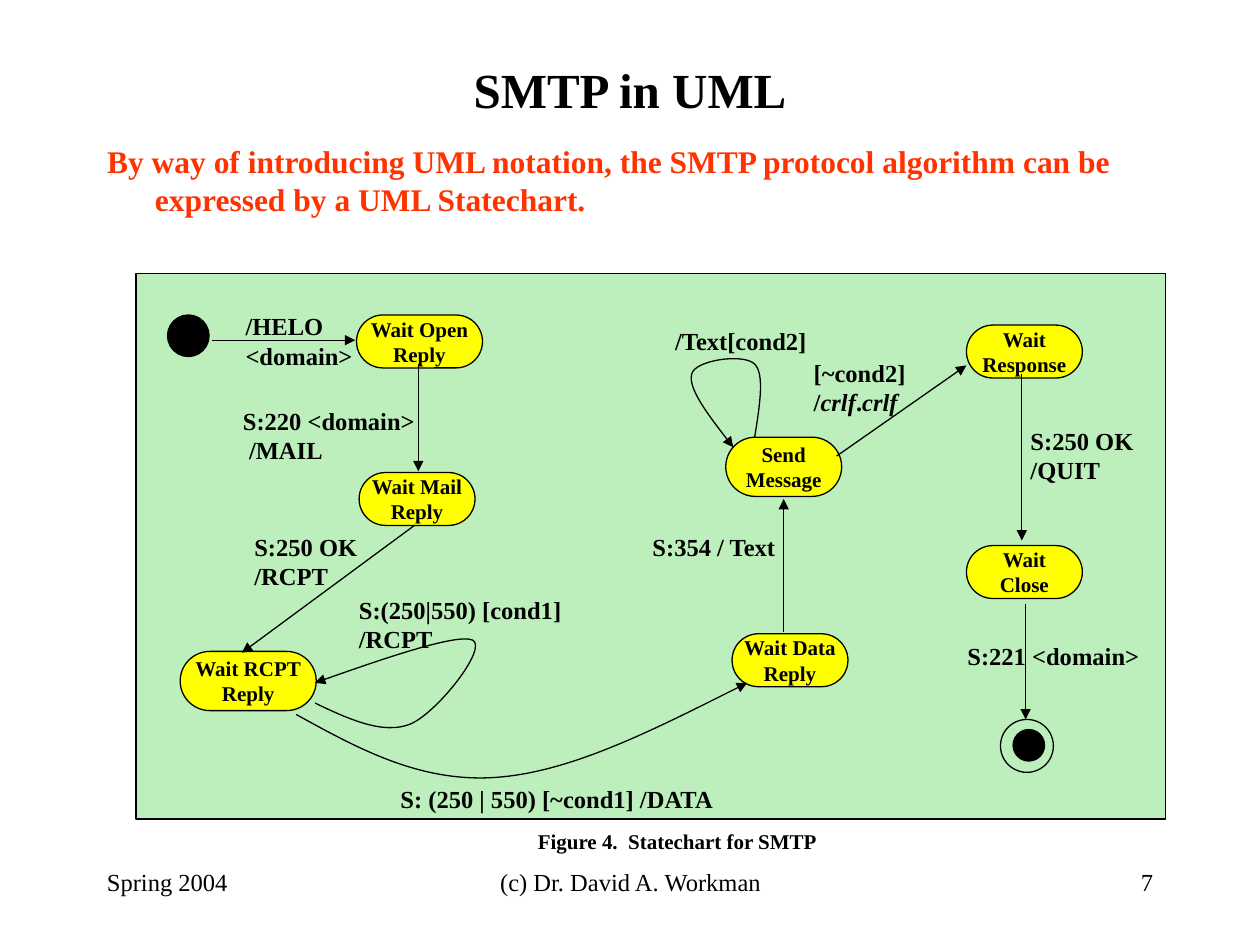
from dataclasses import dataclass

from lxml import etree
from pptx import Presentation, util as u
from pptx.dml.color import RGBColor
from pptx.enum import shapes, text
from pptx.oxml.ns import qn


@dataclass(frozen=True)
class Theme:
    font: str = "Times New Roman"
    ink: str = "000000"
    accent: str = "FF3300"
    panel: str = "BDEFBD"
    state: str = "FFFF00"
    title: float = 28
    body: float = 18
    label: float = 14
    small: float = 12
    line: float = 0.75


THEME = Theme()
# All places are on a grid of 10 columns by 7.5 rows, one inch each.
COLUMNS, ROWS = 10, 7.5
MARGIN = 0.75
CONTENT_W = COLUMNS - 2 * MARGIN

TITLE = "SMTP in UML"
INTRO = ("By way of introducing UML notation, the SMTP protocol algorithm "
         "can be expressed by a UML Statechart.")
CAPTION = "Figure 4.  Statechart for SMTP"
FOOTERS = [  # text, left, width, alignment
    ("Spring 2004", 0.75, 2.08, text.PP_ALIGN.LEFT),
    ("(c) Dr. David A. Workman", 3.42, 3.17, text.PP_ALIGN.CENTER),
    ("7", 7.17, 2.08, text.PP_ALIGN.RIGHT),
]
PANEL = (1.08, 2.17, 8.17, 4.33)
STATES = [  # lines, left, top, width, height
    (("Wait Open", "Reply"), 2.83, 2.5, 1, 0.42),
    (("Wait Mail", "Reply"), 2.85, 3.75, 0.92, 0.42),
    (("Wait RCPT", "Reply"), 1.43, 5.17, 1.08, 0.47),
    (("Wait Data", "Reply"), 5.81, 5.03, 0.92, 0.42),
    (("Send", "Message"), 5.76, 3.47, 0.92, 0.47),
    (("Wait", "Response"), 7.67, 2.58, 0.92, 0.42),
    (("Wait", "Close"), 7.67, 4.33, 0.92, 0.42),
]
DOTS = [  # left, top, diameter, filled
    (1.33, 2.5, 0.33, True),
    (8.04, 5.79, 0.25, True),
    (7.94, 5.71, 0.42, False),
]
ARROWS = [  # start, end
    ((1.68, 2.7), (2.82, 2.7)),
    ((3.32, 2.89), (3.32, 3.74)),
    ((3.29, 4.17), (1.92, 5.18)),
    ((6.22, 5.02), (6.22, 3.96)),
    ((6.64, 3.62), (7.67, 2.9)),
    ((8.11, 2.97), (8.11, 4.29)),
    ((8.14, 4.79), (8.14, 5.71)),
]
CURVES = [  # start point, then three Bezier points for each segment
    [(2.35, 5.67), (2.84, 5.94), (3.33, 6.21), (3.93, 6.17),
     (4.53, 6.13), (5.23, 5.77), (5.93, 5.42)],
    [(2.5, 5.58), (2.77, 5.71), (3.04, 5.83), (3.25, 5.75),
     (3.46, 5.67), (3.88, 5.14), (3.75, 5.08),
     (3.63, 5.03), (3.06, 5.22), (2.5, 5.42)],
    [(5.99, 3.47), (6.03, 3.22), (6.07, 2.97), (5.99, 2.89),
     (5.9, 2.8), (5.51, 2.86), (5.49, 2.97),
     (5.46, 3.08), (5.64, 3.32), (5.82, 3.55)],
]
LABELS = [  # lines (*italic*), left, top, width
    (("/HELO", "<domain>"), 1.85, 2.42, 1.05),
    (("S:220 <domain>", " /MAIL"), 1.83, 3.17, 1.56),
    (("S:250 OK", "/RCPT"), 1.92, 4.17, 1.02),
    (("S:(250|550) [cond1]", "/RCPT"), 2.75, 4.67, 1.81),
    (("S: (250 | 550) [~cond1] /DATA",), 3.08, 6.17, 2.71),
    (("S:354 / Text",), 5.08, 4.17, 1.19),
    (("/Text[cond2]",), 5.26, 2.54, 1.26),
    (("[~cond2]", "/*crlf*.*crlf*"), 6.36, 2.79, 0.93),
    (("S:250 OK", "/QUIT"), 8.08, 3.33, 1.02),
    (("S:221 <domain>",), 7.58, 5.04, 1.56),
]


def inches(*values):
    return [u.Inches(v) for v in values]


def rgb(colour):
    return RGBColor.from_string(colour)


def write(frame, lines, size, align=text.PP_ALIGN.LEFT, bold=True,
          colour=THEME.ink, wrap=False, anchor=text.MSO_ANCHOR.TOP):
    """Fill a frame with one paragraph per line; *stars* mark italics."""
    frame.word_wrap = wrap
    frame.auto_size = text.MSO_AUTO_SIZE.NONE
    frame.vertical_anchor = anchor
    for number, line in enumerate(lines):
        paragraph = frame.add_paragraph() if number else frame.paragraphs[0]
        paragraph.alignment = align
        paragraph.space_before = u.Pt(0)
        for part, words in enumerate(line.split("*")):
            if not words:
                continue
            run = paragraph.add_run()
            run.text = words
            font = run.font
            font.name, font.size, font.bold = THEME.font, u.Pt(size), bold
            font.color.rgb = rgb(colour)
            if part % 2:
                font.italic = True


def add_text(slide, lines, box, size, **style):
    write(slide.shapes.add_textbox(*inches(*box)).text_frame, lines, size, **style)


def outline(line):
    line.color.rgb = rgb(THEME.ink)
    line.width = u.Pt(THEME.line)


def add_node(slide, kind, box, fill=None):
    node = slide.shapes.add_shape(kind, *inches(*box))
    node.shadow.inherit = False
    if fill:
        node.fill.solid()
        node.fill.fore_color.rgb = rgb(fill)
    else:
        node.fill.background()
    outline(node.line)
    return node


def point_arrow(line):
    outline(line)
    etree.SubElement(line._get_or_add_ln(), qn("a:tailEnd"), type="triangle")


def add_arrow(slide, start, end):
    arrow = slide.shapes.add_connector(
        shapes.MSO_CONNECTOR.STRAIGHT, *inches(*start, *end))
    point_arrow(arrow.line)
    etree.SubElement(arrow._element.spPr, qn("a:effectLst"))


def add_curve(slide, points):
    """Draw the points as a freeform, then join each three as a Bezier segment."""
    start, *rest = [inches(*point) for point in points]
    builder = slide.shapes.build_freeform(*start)
    builder.add_line_segments(rest, close=False)
    curve = builder.convert_to_shape()
    curve.shadow.inherit = False
    curve.fill.background()
    point_arrow(curve.line)
    outline_path = next(curve._element.iter(qn("a:path")))
    steps = outline_path.findall(qn("a:lnTo"))
    for first in range(0, len(steps), 3):
        segment = etree.SubElement(outline_path, qn("a:cubicBezTo"))
        for step in steps[first:first + 3]:
            segment.append(step[0])
            outline_path.remove(step)


def add_heading(slide):
    title, intro = slide.placeholders
    for holder, top, height in ((title, 0.42, 0.57), (intro, 1.08, 0.75)):
        holder.left, holder.top, holder.width, holder.height = inches(
            MARGIN, top, CONTENT_W, height)
    write(title.text_frame, [TITLE], THEME.title, text.PP_ALIGN.CENTER,
          wrap=True, anchor=text.MSO_ANCHOR.MIDDLE)
    hanging = intro.text_frame.paragraphs[0]._p.get_or_add_pPr()
    hanging.set("marL", str(u.Inches(0.38)))
    hanging.set("indent", str(-u.Inches(0.38)))
    write(intro.text_frame, [INTRO], THEME.body, colour=THEME.accent, wrap=True)
    etree.SubElement(hanging, qn("a:buNone"))


def main():
    deck = Presentation()
    deck.slide_width, deck.slide_height = inches(COLUMNS, ROWS)
    slide = deck.slides.add_slide(deck.slide_layouts[1])
    add_heading(slide)

    kinds = shapes.MSO_SHAPE
    add_node(slide, kinds.RECTANGLE, PANEL, THEME.panel)
    add_text(slide, [CAPTION], (4.17, 6.53, 2.42, 0.3), THEME.small)
    for left, top, size, filled in DOTS:
        add_node(slide, kinds.OVAL, (left, top, size, size),
                 THEME.ink if filled else None)
    for lines, *box in STATES:
        state = add_node(slide, kinds.ROUNDED_RECTANGLE, box, THEME.state)
        state.adjustments[0] = 0.5
        write(state.text_frame, lines, THEME.small, text.PP_ALIGN.CENTER,
              anchor=text.MSO_ANCHOR.MIDDLE)
    for start, end in ARROWS:
        add_arrow(slide, start, end)
    for points in CURVES:
        add_curve(slide, points)
    for lines, left, top, width in LABELS:
        height = 0.1 + 0.235 * len(lines)
        add_text(slide, lines, (left, top, width, height), THEME.label)
    for words, left, width, align in FOOTERS:
        add_text(slide, [words], (left, 6.83, width, 0.5), THEME.label,
                 align=align, bold=False, wrap=True)
    deck.save("out.pptx")


if __name__ == "__main__":
    main()
